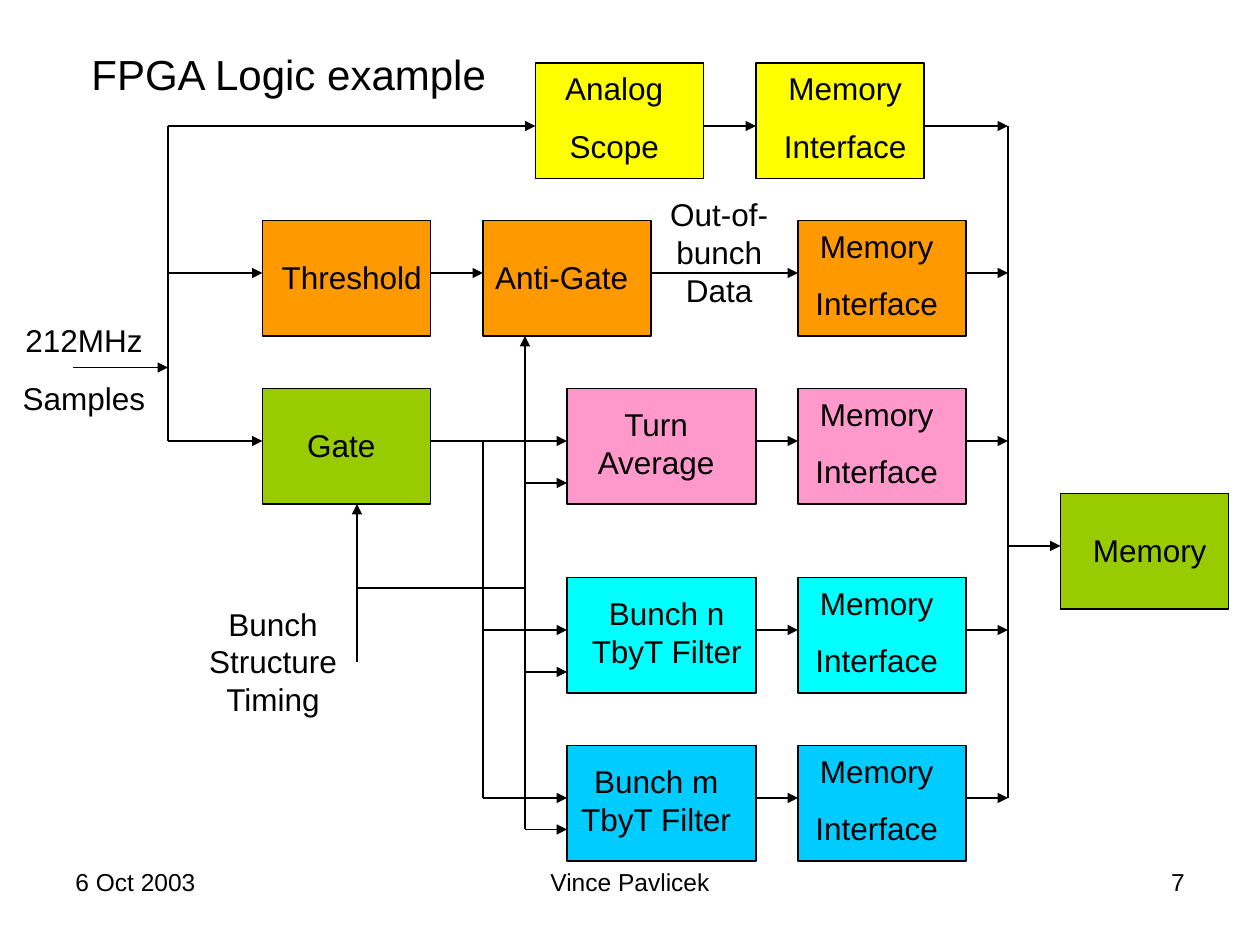
from dataclasses import dataclass
from typing import NamedTuple

from lxml import etree
from pptx import Presentation
from pptx import util as u
from pptx.dml.color import RGBColor
from pptx.enum import shapes, text
from pptx.oxml import ns

CELLS_PER_INCH = 12  # 120 columns by 90 rows on the slide
BLOCK_HEIGHT = 11
ONE_LINE, TWO_LINES, TWO_PARAGRAPHS, THREE_LINES = 4.8, 8.4, 10.3, 12


@dataclass(frozen=True)
class Theme:
    font: str = "Arial"
    ink: str = "000000"
    yellow: str = "FFFF00"
    orange: str = "FF9900"
    green: str = "99CC00"
    pink: str = "FF99CC"
    cyan: str = "00FFFF"
    blue: str = "00CCFF"
    title: float = 24
    label: float = 18
    footer: float = 14
    paragraph_gap: float = 11.2
    line: float = 0.75


THEME = Theme()


class Block(NamedTuple):
    column: float
    row: float
    fill: str
    width: float = 16


class Label(NamedTuple):
    column: float
    row: float
    width: float
    height: float
    paragraphs: tuple[str, ...]
    size: float = THEME.label
    align: text.PP_ALIGN = text.PP_ALIGN.CENTER
    fit: bool = True


class Wire(NamedTuple):
    start: tuple[float, float]
    end: tuple[float, float]
    arrow: bool = True


# Each stage is followed by its own memory interface.
STAGES = (
    Block(51, 6, THEME.yellow),
    Block(46, 21, THEME.orange),
    Block(54, 37, THEME.pink, 18),
    Block(54, 55, THEME.cyan, 18),
    Block(54, 71, THEME.blue, 18),
)
INTERFACES = tuple(
    Block(72 if stage.row == 6 else 76, stage.row, stage.fill) for stage in STAGES
)
BLOCKS = STAGES + INTERFACES + (
    Block(25, 21, THEME.orange),
    Block(25, 37, THEME.green),
    Block(101, 47, THEME.green),
)

SIGNAL_ROWS = (12, 26, 42, 60, 76)
SAMPLE_BUS, GATE_BUS, TIMING_BUS, MEMORY_BUS = 16, 46, 50, 96

WIRES = [
    Wire((7, 35), (SAMPLE_BUS, 35)),
    Wire((SAMPLE_BUS, 12), (SAMPLE_BUS, 42), False),
    Wire((SAMPLE_BUS, 12), (51, 12)),
    Wire((SAMPLE_BUS, 26), (25, 26)),
    Wire((SAMPLE_BUS, 42), (25, 42)),
    Wire((41, 26), (46, 26)),
    Wire((41, 42), (GATE_BUS, 42), False),
    Wire((GATE_BUS, 42), (GATE_BUS, 76), False),
    Wire((34, 63), (34, 48)),
    Wire((TIMING_BUS, 56), (34, 56), False),
    Wire((TIMING_BUS, 56), (TIMING_BUS, 32)),
    Wire((TIMING_BUS, 79), (TIMING_BUS, 56), False),
    Wire((MEMORY_BUS, 12), (MEMORY_BUS, 76), False),
    Wire((MEMORY_BUS, 52), (101, 52)),
]
for stage, interface, row in zip(STAGES, INTERFACES, SIGNAL_ROWS):
    WIRES.append(Wire((stage.column + stage.width, row), (interface.column, row)))
    WIRES.append(Wire((interface.column + interface.width, row), (MEMORY_BUS, row)))
WIRES += [Wire((GATE_BUS, row), (54, row)) for row in SIGNAL_ROWS[2:]]
WIRES += [Wire((TIMING_BUS, row), (54, row)) for row in (46, 64, 79)]

LABELS = [
    Label(6, 4, 43, 6, ("FPGA Logic example",), THEME.title),
    Label(0, 30, 16, TWO_PARAGRAPHS, ("212MHz", "Samples")),
    Label(50, 6, 17, TWO_PARAGRAPHS, ("Analog", "Scope")),
    Label(25, 24, 17, ONE_LINE, ("Threshold",)),
    Label(45, 24, 17, ONE_LINE, ("Anti-Gate",)),
    Label(28, 40, 9, ONE_LINE, ("Gate",)),
    Label(60, 18, 17, THREE_LINES, ("Out-of-bunch Data",)),
    Label(54, 38, 17, TWO_LINES, ("Turn Average",)),
    Label(55, 56, 17, TWO_LINES, ("Bunch n TbyT Filter",)),
    Label(54, 72, 17, TWO_LINES, ("Bunch m TbyT Filter",)),
    Label(16, 57, 20, THREE_LINES, ("Bunch Structure Timing",)),
    Label(101, 50, 17, ONE_LINE, ("Memory",)),
    Label(6, 82, 28, 6.25, ("6 Oct 2003",), THEME.footer, text.PP_ALIGN.LEFT, False),
    Label(41, 82, 38, 6.25, ("Vince Pavlicek",), THEME.footer, fit=False),
    Label(86, 82, 28, 6.25, ("7",), THEME.footer, text.PP_ALIGN.RIGHT, False),
]
LABELS += [
    Label(min(block.column, 75), block.row, 17, TWO_PARAGRAPHS, ("Memory", "Interface"))
    for block in INTERFACES
]


def cells(count: float) -> u.Emu:
    return u.Inches(count / CELLS_PER_INCH)


def color(value: str) -> RGBColor:
    return RGBColor.from_string(value)


def draw_block(slide, block: Block) -> None:
    shape = slide.shapes.add_shape(
        shapes.MSO_SHAPE.RECTANGLE,
        *map(cells, (block.column, block.row, block.width, BLOCK_HEIGHT)),
    )
    shape.shadow.inherit = False
    shape.fill.solid()
    shape.fill.fore_color.rgb = color(block.fill)
    shape.line.color.rgb = color(THEME.ink)
    shape.line.width = u.Pt(THEME.line)


def draw_wire(slide, wire: Wire) -> None:
    connector = slide.shapes.add_connector(
        shapes.MSO_CONNECTOR.STRAIGHT, *map(cells, wire.start + wire.end)
    )
    connector.line.color.rgb = color(THEME.ink)
    connector.line.width = u.Pt(THEME.line)
    if wire.arrow:
        line = connector.line._get_or_add_ln()
        etree.SubElement(line, ns.qn("a:tailEnd"), type="triangle")
    etree.SubElement(connector._element.spPr, ns.qn("a:effectLst"))


def draw_label(slide, label: Label) -> None:
    shape = slide.shapes.add_textbox(
        *map(cells, (label.column, label.row, label.width, label.height))
    )
    frame = shape.text_frame
    frame.word_wrap = True
    if label.fit:
        frame.auto_size = text.MSO_AUTO_SIZE.SHAPE_TO_FIT_TEXT
    for index, words in enumerate(label.paragraphs):
        paragraph = frame.add_paragraph() if index else frame.paragraphs[0]
        paragraph.alignment = label.align
        if index:
            paragraph.space_before = u.Pt(THEME.paragraph_gap)
        run = paragraph.add_run()
        run.text = words
        run.font.name = THEME.font
        run.font.size = u.Pt(label.size)
        run.font.color.rgb = color(THEME.ink)


def main() -> None:
    presentation = Presentation()
    presentation.slide_width = u.Inches(10)
    presentation.slide_height = u.Inches(7.5)
    slide = presentation.slides.add_slide(presentation.slide_layouts[6])
    for block in BLOCKS:
        draw_block(slide, block)
    for wire in WIRES:
        draw_wire(slide, wire)
    for label in LABELS:
        draw_label(slide, label)
    presentation.save("out.pptx")


if __name__ == "__main__":
    main()
